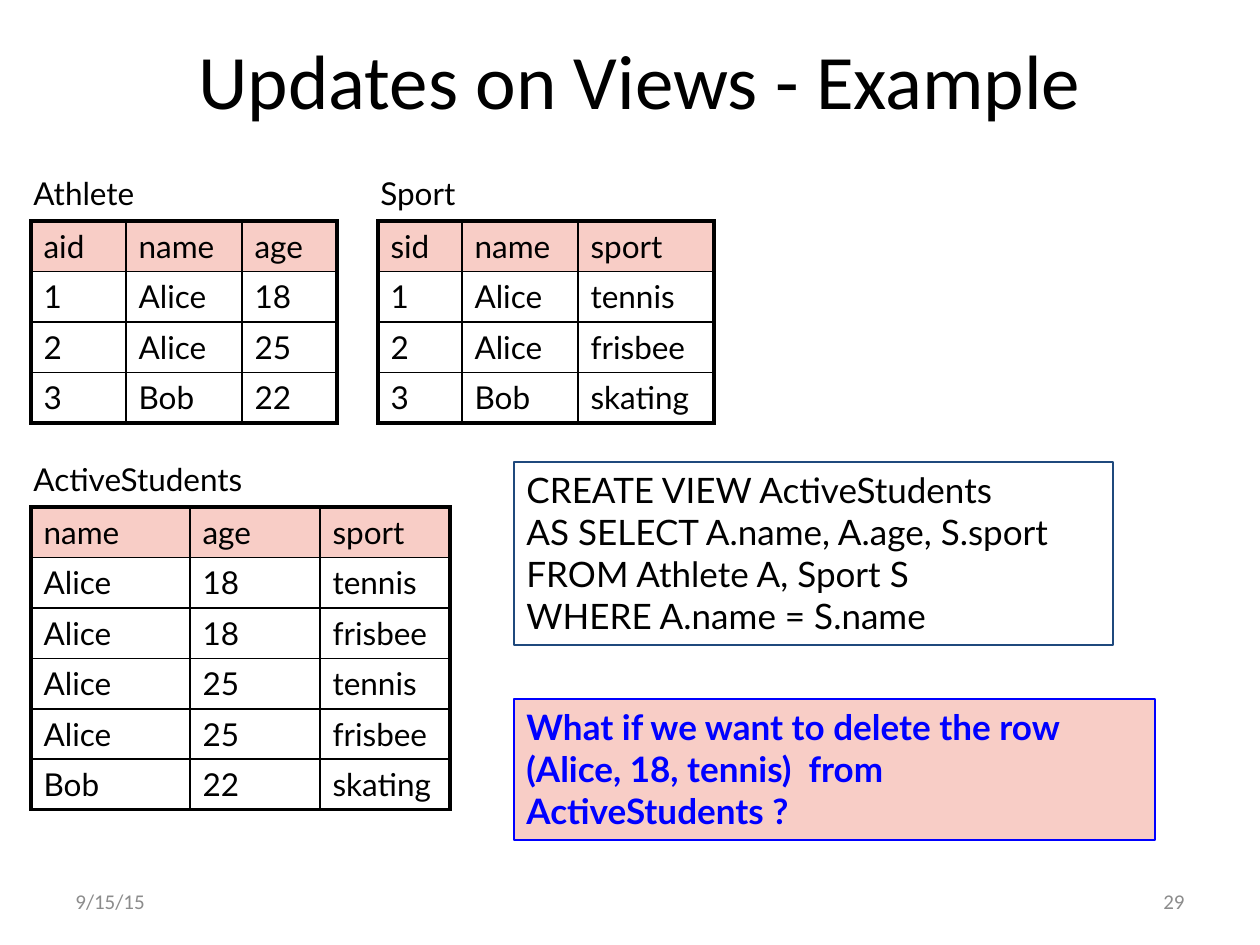
from lxml import etree
from pptx import Presentation
from pptx import util as u
from pptx.dml.color import RGBColor
from pptx.enum import shapes, text
from pptx.oxml import ns

BLACK = RGBColor(0x00, 0x00, 0x00)
GRAY = RGBColor(0x8C, 0x8C, 0x8C)
PINK = RGBColor(0xF8, 0xCD, 0xC6)
NAVY = RGBColor(0x1F, 0x49, 0x7D)
BLUE = RGBColor(0x00, 0x00, 0xFF)
LABEL_H = 53
ROW_H = u.Inches(0.4)


def px(n):
    """Turn px into EMU at 126 px to the inch."""
    return u.Emu(round(n * 914400 / 126))


def write(tf, lines, size, color, font="Lato", bold=False,
          align=text.PP_ALIGN.LEFT, anchor=text.MSO_ANCHOR.TOP):
    """Fill a text frame with one paragraph per line."""
    tf.word_wrap = True
    tf.vertical_anchor = anchor
    for i, line in enumerate(lines):
        p = tf.paragraphs[0] if i == 0 else tf.add_paragraph()
        p.text = line
        p.alignment = align
        p.font.name, p.font.size = font, u.Pt(size)
        p.font.bold, p.font.color.rgb = bold, color


def add_title(s, box, title):
    """Place the title placeholder in its box."""
    sp = s.shapes.title
    sp.left, sp.top, sp.width, sp.height = map(px, box)
    write(sp.text_frame, [title], 44, BLACK, "Calibri",
          align=text.PP_ALIGN.CENTER, anchor=text.MSO_ANCHOR.MIDDLE)


def add_text(s, box, line, size, color, **style):
    """Add a one-line text box."""
    sp = s.shapes.add_textbox(*map(px, box))
    write(sp.text_frame, [line], size, color, **style)


def add_footer(s, box, date, number):
    """Put the date at the left and the slide number at the right."""
    x, y, w, h = box
    field_w = 294
    for left, line, align in ((x, date, text.PP_ALIGN.LEFT),
                              (x + w - field_w, number, text.PP_ALIGN.RIGHT)):
        add_text(s, (left, y, field_w, h), line, 12, GRAY, font="Calibri",
                 align=align, anchor=text.MSO_ANCHOR.MIDDLE)


def set_borders(cell, widths):
    """Draw the left, right, top and bottom borders of a cell."""
    tcPr = cell._tc.get_or_add_tcPr()
    for i, (side, width) in enumerate(zip("LRTB", widths)):
        ln = etree.Element(ns.qn(f"a:ln{side}"), w=str(u.Pt(width)))
        fill = etree.SubElement(ln, ns.qn("a:solidFill"))
        etree.SubElement(fill, ns.qn("a:srgbClr"), val=str(BLACK))
        tcPr.insert(i, ln)


def add_relation(s, x, y, name, col_widths, rows):
    """Add a relation's name and, below it, its table."""
    add_text(s, (x - 10, y, 273, LABEL_H), name, 18, BLACK)
    n, m = len(rows), len(col_widths)
    frame = s.shapes.add_table(n, m, px(x), px(y + LABEL_H),
                               px(sum(col_widths)), n * ROW_H)
    table = frame.table
    for col, width in zip(table.columns, col_widths):
        col.width = px(width)
    for i, row in enumerate(rows):
        table.rows[i].height = ROW_H
        for j, value in enumerate(row):
            cell = table.cell(i, j)
            write(cell.text_frame, [value], 18, BLACK)
            if i == 0:
                cell.fill.solid()
                cell.fill.fore_color.rgb = PINK
            else:
                cell.fill.background()
            outer = (j == 0, j == m - 1, i == 0, i == n - 1)
            set_borders(cell, [2.25 if edge else 1 for edge in outer])


def add_panel(s, box, lines, line_color, color, fill=None, bold=False):
    """Add an outlined box of text."""
    sp = s.shapes.add_shape(shapes.MSO_SHAPE.RECTANGLE, *map(px, box))
    sp.shadow.inherit = False
    sp.line.color.rgb, sp.line.width = line_color, u.Pt(1.5)
    if fill is None:
        sp.fill.background()
    else:
        sp.fill.solid()
        sp.fill.fore_color.rgb = fill
    write(sp.text_frame, lines, 20, color, bold=bold)


def main():
    """Build the slide and save it."""
    prs = Presentation()
    prs.slide_width, prs.slide_height = u.Inches(10), u.Inches(7.5)
    s = prs.slides.add_slide(prs.slide_layouts[5])
    add_title(s, (73, 0, 1134, 158), "Updates on Views - Example")
    add_footer(s, (63, 876, 1134, 50), "9/15/15", "29")
    add_relation(s, 31, 168, "Athlete", (95, 116, 95), [
        ("aid", "name", "age"),
        ("1", "Alice", "18"),
        ("2", "Alice", "25"),
        ("3", "Bob", "22"),
    ])
    add_relation(s, 378, 168, "Sport", (84, 116, 136), [
        ("sid", "name", "sport"),
        ("1", "Alice", "tennis"),
        ("2", "Alice", "frisbee"),
        ("3", "Bob", "skating"),
    ])
    add_relation(s, 31, 454, "ActiveStudents", (159, 130, 130), [
        ("name", "age", "sport"),
        ("Alice", "18", "tennis"),
        ("Alice", "18", "frisbee"),
        ("Alice", "25", "tennis"),
        ("Alice", "25", "frisbee"),
        ("Bob", "22", "skating"),
    ])
    add_panel(s, (514, 462, 599, 183), [
        "CREATE VIEW ActiveStudents",
        "AS SELECT A.name, A.age, S.sport",
        "FROM Athlete A, Sport S",
        "WHERE A.name = S.name",
    ], NAVY, BLACK)
    add_panel(s, (514, 699, 641, 141), [
        "What if we want to delete the row",
        "(Alice, 18, tennis)  from ActiveStudents ?",
    ], BLUE, BLUE, fill=PINK, bold=True)
    prs.save("out.pptx")


if __name__ == "__main__":
    main()
